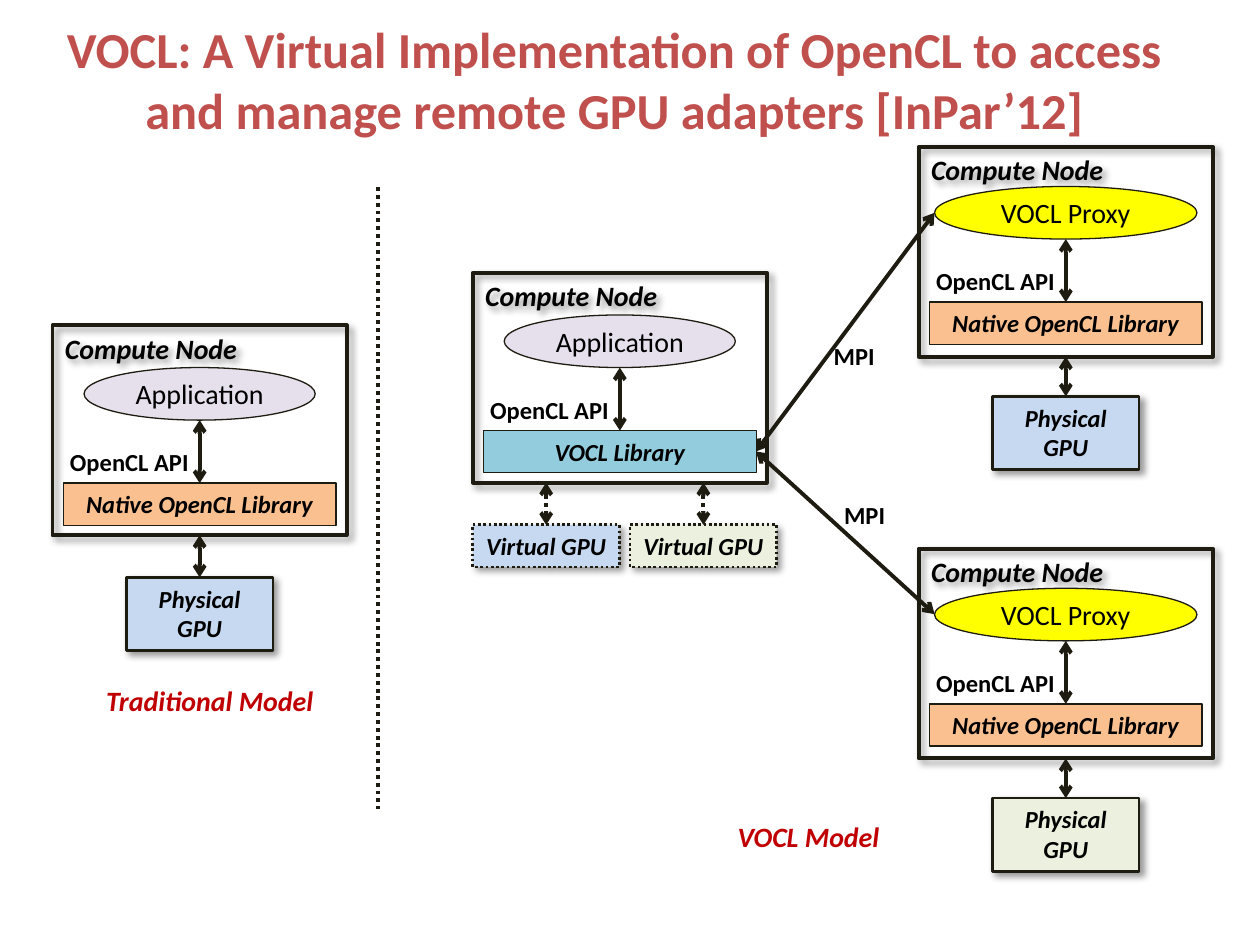
from lxml.etree import SubElement
from pptx import Presentation
from pptx.dml.color import RGBColor
from pptx.enum.dml import MSO_LINE
from pptx.enum.shapes import MSO_CONNECTOR, MSO_SHAPE
from pptx.enum.text import MSO_ANCHOR, MSO_AUTO_SIZE, PP_ALIGN
from pptx.oxml.ns import qn
from pptx.util import Cm, Pt

COLORS = {
    "title": "C0504D", "caption": "C00000", "text": "000000", "line": "1E1C11",
    "blue": "C6D9F1", "green": "EBF1DE", "lilac": "E6E0EC",
    "orange": "FAC090", "teal": "93CDDD", "yellow": "FFFF00",
}
FONT = "Calibri"
NODE_W, NODE_H = 5.93, 4.23
LIBRARY_W, ROW_H = 5.5, 0.85
ELLIPSE_H = 1.06
GPU_W, GPU_H = 2.96, 1.48


def rgb(name):
    return RGBColor.from_string(COLORS[name])


def write(shape, text, size=14, color="text", bold=True, italic=False,
          align=PP_ALIGN.CENTER, anchor=MSO_ANCHOR.TOP):
    frame = shape.text_frame
    frame.word_wrap = True
    frame.vertical_anchor = anchor
    para = frame.paragraphs[0]
    para.alignment = align
    span = para.add_run()
    span.text = text
    font = span.font
    font.name, font.size, font.bold, font.italic = FONT, Pt(size), bold, italic
    font.color.rgb = rgb(color)


def add_shadow(shape):
    """Put a soft shadow at the lower right of the shape."""
    effects = shape._element.spPr.find(qn("a:effectLst"))
    shadow = SubElement(effects, qn("a:outerShdw"), blurRad=str(Pt(4)),
                        dist=str(Pt(3)), dir="2700000", algn="tl", rotWithShape="0")
    color = SubElement(shadow, qn("a:srgbClr"), val=COLORS["text"])
    SubElement(color, qn("a:alpha"), val="40000")


class Diagram:
    """Draws on one slide in one style; all lengths are in centimetres."""

    def __init__(self, slide):
        self.shapes = slide.shapes

    def label(self, text, left, top, width, height=0.86, grow=True, **style):
        box = self.shapes.add_textbox(Cm(left), Cm(top), Cm(width), Cm(height))
        write(box, text, **style)
        if grow:
            box.text_frame.auto_size = MSO_AUTO_SIZE.SHAPE_TO_FIT_TEXT

    def shape(self, text, left, top, width, height, fill=None, line=0.75,
              kind=MSO_SHAPE.RECTANGLE, shadow=False, dotted=False, **style):
        shape = self.shapes.add_shape(kind, Cm(left), Cm(top), Cm(width), Cm(height))
        shape.shadow.inherit = False
        if fill:
            shape.fill.solid()
            shape.fill.fore_color.rgb = rgb(fill)
        else:
            shape.fill.background()
        self.stroke(shape.line, line, dotted)
        if shadow:
            add_shadow(shape)
        write(shape, text, **style)

    def stroke(self, line, width, dotted):
        line.color.rgb = rgb("line")
        line.width = Pt(width)
        if dotted:
            line.dash_style = MSO_LINE.ROUND_DOT

    def line(self, start, end, arrows=True, dotted=False):
        line = self.shapes.add_connector(
            MSO_CONNECTOR.STRAIGHT, *(Cm(value) for value in start + end))
        self.stroke(line.line, 2.25, dotted)
        if arrows:
            for side in ("a:headEnd", "a:tailEnd"):
                SubElement(line.line._get_or_add_ln(), qn(side), type="arrow")
        SubElement(line._element.spPr, qn("a:effectLst"))

    def gpu(self, text, center, node_bottom, gap, fill, height=GPU_H, dotted=False):
        """A GPU box below a node, with the arrow that joins them."""
        top = node_bottom + gap
        self.shape(text, center - GPU_W / 2, top, GPU_W, height, fill, line=1.5,
                   shadow=True, dotted=dotted, italic=True)
        self.line((center, node_bottom), (center, top), dotted=dotted)

    def node(self, left, top, inset, program, program_w, program_fill,
             library, library_fill):
        """A compute node: program on top, API arrow, library below."""
        center = left + NODE_W / 2
        program_top = top + inset
        library_top = program_top + 2.33
        self.shape("Compute Node", left, top, NODE_W, NODE_H, line=2.25, shadow=True,
                   size=16, italic=True, align=PP_ALIGN.LEFT)
        self.shape(program, center - program_w / 2, program_top, program_w, ELLIPSE_H,
                   program_fill, kind=MSO_SHAPE.OVAL, size=16, bold=False,
                   anchor=MSO_ANCHOR.MIDDLE)
        self.shape(library, center - LIBRARY_W / 2, library_top, LIBRARY_W, ROW_H,
                   library_fill, italic=True)
        self.line((center, program_top + ELLIPSE_H), (center, library_top))
        self.label("OpenCL API", left + 0.1, program_top + 1.48, 3.07,
                   align=PP_ALIGN.LEFT)


def main():
    deck = Presentation()
    deck.slide_width, deck.slide_height = Cm(25.4), Cm(19.05)
    page = Diagram(deck.slides.add_slide(deck.slide_layouts[6]))

    page.label("VOCL: A Virtual Implementation of OpenCL to access and manage "
               "remote GPU adapters [InPar’12]", 0.64, 0, 23.5, 3.18, grow=False,
               size=28.8, color="title", anchor=MSO_ANCHOR.MIDDLE)
    page.line((7.62, 3.77), (7.62, 16.3), arrows=False, dotted=True)

    native = ("Native OpenCL Library", "orange")
    application = ("Application", 4.66, "lilac")
    proxy = ("VOCL Proxy", 5.29, "yellow")

    nodes = [
        (1.06, 6.56, 0.85, application, native, "blue"),
        (18.52, 2.96, 0.8, proxy, native, "blue"),
        (18.52, 11.06, 0.8, proxy, native, "green"),
    ]
    for left, top, inset, program, library, gpu_fill in nodes:
        page.node(left, top, inset, *program, *library)
        page.gpu("Physical GPU", left + NODE_W / 2, top + NODE_H, inset, gpu_fill)

    page.node(9.53, 5.5, 0.85, *application, "VOCL Library", "teal")
    for center, fill in ((11.01, "blue"), (14.18, "green")):
        page.gpu("Virtual GPU", center, 5.5 + NODE_H, 0.85, fill, ROW_H, dotted=True)

    for proxy_y, label_x, label_y in ((4.29, 16.46, 6.76), (12.38, 16.67, 9.96)):
        page.line((18.84, proxy_y), (15.24, 9.1))
        page.label("MPI", label_x, label_y, 1.52)

    for text, left, top, width in (("Traditional Model", 1.69, 13.66, 5.08),
                                   ("VOCL Model", 13.97, 16.4, 4.66)):
        page.label(text, left, top, width, 0.94, size=16, color="caption", italic=True)

    deck.save("out.pptx")


if __name__ == "__main__":
    main()
